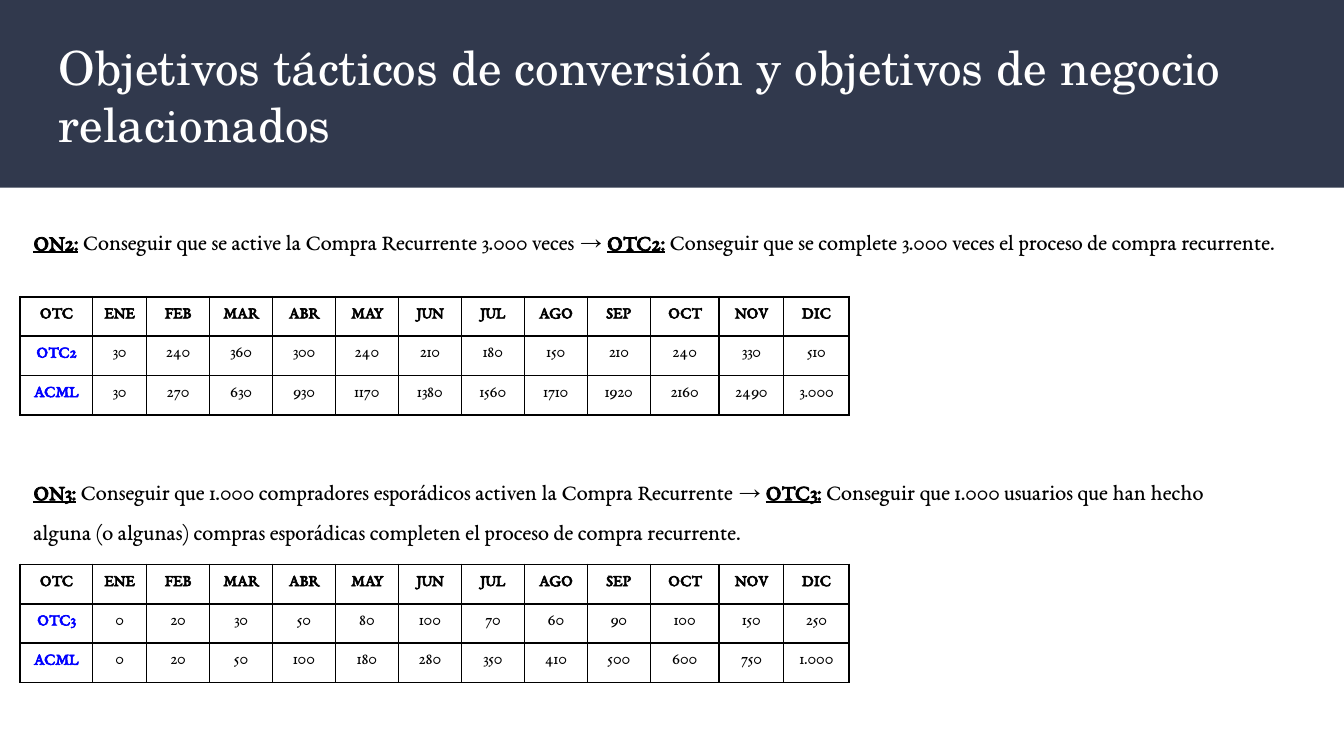
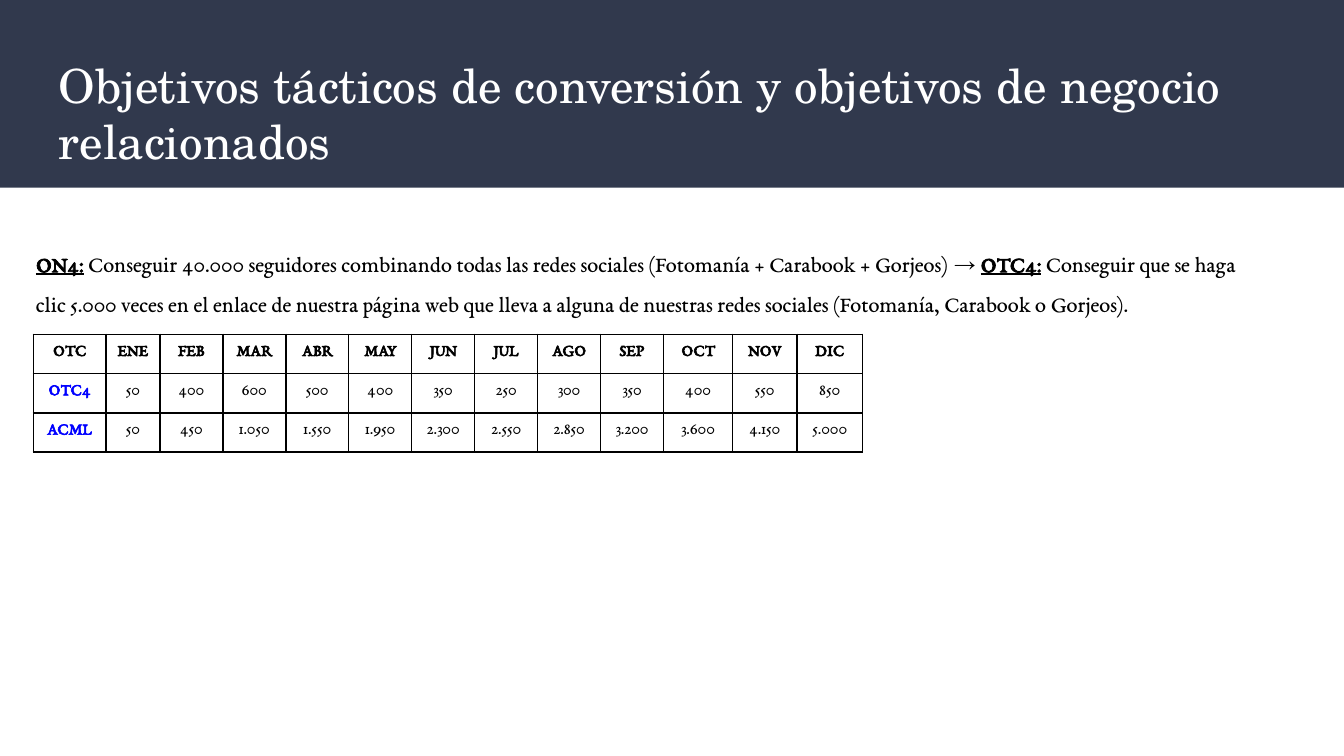
"""Build two slides of monthly conversion targets and their business goals."""
import pptx
import pptx.dml.color
import pptx.enum.shapes
import pptx.enum.text
import pptx.oxml
import pptx.oxml.ns
import pptx.util

Cm = pptx.util.Cm
Pt = pptx.util.Pt
RGBColor = pptx.dml.color.RGBColor

NAVY = RGBColor(0x31, 0x39, 0x4D)
WHITE = RGBColor(0xFF, 0xFF, 0xFF)
BLACK = RGBColor(0, 0, 0)
BLUE = RGBColor(0, 0, 0xFF)
TITLE_FONT = "TeX Gyre Schola"
BODY_FONT = "EB Garamond"

TITLE = "Objetivos tácticos de conversión y objetivos de negocio relacionados"
HEADER = ["OTC", "ENE", "FEB", "MAR", "ABR", "MAY", "JUN",
          "JUL", "AGO", "SEP", "OCT", "NOV", "DIC"]
COLUMNS = [1.37, 1.02] + [1.19] * 8 + [1.3, 1.22, 1.24]
ROW_HEIGHT = 0.74

SLIDES = [
    {"title_top": 0.48, "goals": [
        {"text_at": (0.38, 3.81, 24.13), "table_at": (0.38, 5.61),
         "text": [("ON2:", " Conseguir que se active la Compra Recurrente 3.000 veces → "),
                  ("OTC2:", " Conseguir que se complete 3.000 veces el proceso de compra "
                            "recurrente.")],
         "rows": [
             ["OTC2", "30", "240", "360", "300", "240", "210",
              "180", "150", "210", "240", "330", "510"],
             ["ACML", "30", "270", "630", "930", "1170", "1380",
              "1560", "1710", "1920", "2160", "2490", "3.000"]]},
        {"text_at": (0.38, 8.53, 23.67), "table_at": (0.38, 10.67),
         "text": [("ON3:", " Conseguir que 1.000 compradores esporádicos activen la Compra "
                           "Recurrente → "),
                  ("OTC3:", " Conseguir que 1.000 usuarios que han hecho alguna (o algunas) "
                            "compras esporádicas completen el proceso de compra recurrente.")],
         "rows": [
             ["OTC3", "0", "20", "30", "50", "80", "100",
              "70", "60", "90", "100", "150", "250"],
             ["ACML", "0", "20", "50", "100", "180", "280",
              "350", "410", "500", "600", "750", "1.000"]]},
    ]},
    {"title_top": 0.81, "goals": [
        {"text_at": (0.43, 4.22, 23.67), "table_at": (0.63, 6.32),
         "text": [("ON4:", " Conseguir 40.000 seguidores combinando todas las redes sociales "
                           "(Fotomanía + Carabook + Gorjeos) → "),
                  ("OTC4:", " Conseguir que se haga clic 5.000 veces en el enlace de nuestra "
                            "página web que lleva a alguna de nuestras redes sociales "
                            "(Fotomanía, Carabook o Gorjeos).")],
         "rows": [
             ["OTC4", "50", "400", "600", "500", "400", "350",
              "250", "300", "350", "400", "550", "850"],
             ["ACML", "50", "450", "1.050", "1.550", "1.950", "2.300",
              "2.550", "2.850", "3.200", "3.600", "4.150", "5.000"]]},
    ]},
]


def style(r, font, size, color, bold=False, underline=False):
    r.font.name = font
    r.font.size = Pt(size)
    r.font.color.rgb = color
    r.font.bold = bold
    r.font.underline = underline


def set_frame(tf, margin, auto_size):
    tf.word_wrap = True
    tf.auto_size = auto_size
    tf.vertical_anchor = pptx.enum.text.MSO_ANCHOR.TOP
    tf.margin_left = tf.margin_right = tf.margin_top = tf.margin_bottom = Cm(margin)


def add_band(s, layout, width):
    band = s.shapes.add_shape(pptx.enum.shapes.MSO_SHAPE.RECTANGLE, 0, 0, width, Cm(3.55))
    band.shadow.inherit = False
    band.fill.solid()
    band.fill.fore_color.rgb = NAVY
    band.line.fill.background()
    layout.shapes.element.insert(2, band.element)


def set_title(s, top):
    sp = s.shapes.title
    sp.left, sp.top, sp.width, sp.height = Cm(0.86), Cm(top), Cm(23.67), Cm(1.73)
    tf = sp.text_frame
    tf.text = TITLE
    set_frame(tf, 0.25, pptx.enum.text.MSO_AUTO_SIZE.NONE)
    p = tf.paragraphs[0]
    p.alignment = pptx.enum.text.PP_ALIGN.LEFT
    style(p.runs[0], TITLE_FONT, 25.2, WHITE)


def add_statement(s, parts, left, top, width):
    sp = s.shapes.add_textbox(Cm(left), Cm(top), Cm(width), Cm(1.8))
    set_frame(sp.text_frame, 0.25, pptx.enum.text.MSO_AUTO_SIZE.SHAPE_TO_FIT_TEXT)
    p = sp.text_frame.paragraphs[0]
    p.line_spacing = 1.5
    for label, text in parts:
        for words, is_label in ((label, True), (text, False)):
            r = p.add_run()
            r.text = words
            style(r, BODY_FONT, 12, BLACK, is_label, is_label)


def add_borders(cell):
    tc_pr = cell._tc.get_or_add_tcPr()
    for i, side in enumerate(("lnL", "lnR", "lnT", "lnB")):
        tc_pr.insert(i, pptx.oxml.parse_xml(
            f'<a:{side} {pptx.oxml.ns.nsdecls("a")} w="{Pt(1)}">'
            f'<a:solidFill><a:srgbClr val="{BLACK}"/></a:solidFill></a:{side}>'))


def add_target_table(s, rows, left, top):
    rows = [HEADER] + rows
    table = s.shapes.add_table(len(rows), len(COLUMNS), Cm(left), Cm(top),
                               Cm(sum(COLUMNS)), Cm(ROW_HEIGHT * len(rows))).table
    table.first_row = table.horz_banding = False
    for column, width in zip(table.columns, COLUMNS):
        column.width = Cm(width)
    for i, values in enumerate(rows):
        table.rows[i].height = Cm(ROW_HEIGHT)
        for j, value in enumerate(values):
            cell = table.cell(i, j)
            cell.margin_left = cell.margin_right = Cm(0.18)
            cell.margin_top = cell.margin_bottom = Cm(0.18)
            cell.fill.background()
            add_borders(cell)
            cell.text_frame.text = value
            p = cell.text_frame.paragraphs[0]
            p.alignment = pptx.enum.text.PP_ALIGN.CENTER
            color = BLUE if i > 0 and j == 0 else BLACK
            style(p.runs[0], BODY_FONT, 9, color, bold=i == 0 or j == 0)


def main():
    prs = pptx.Presentation()
    prs.slide_width, prs.slide_height = Cm(25.4), Cm(14.29)
    layout = prs.slide_layouts[5]
    for i, content in enumerate(SLIDES):
        s = prs.slides.add_slide(layout)
        if i == 0:
            add_band(s, layout, prs.slide_width)
        set_title(s, content["title_top"])
        for goal in content["goals"]:
            add_statement(s, goal["text"], *goal["text_at"])
            add_target_table(s, goal["rows"], *goal["table_at"])
    prs.save("out.pptx")


if __name__ == "__main__":
    main()
